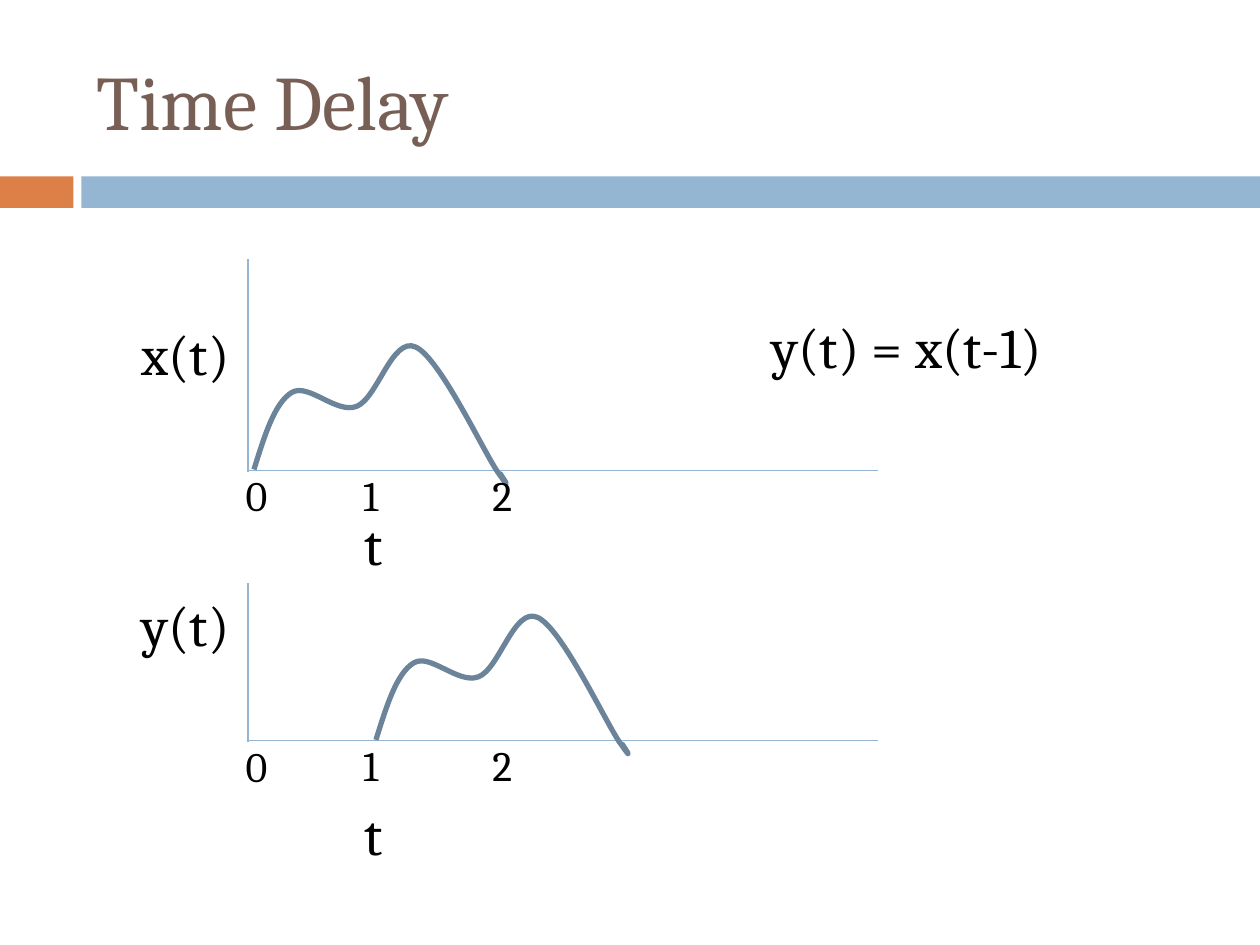
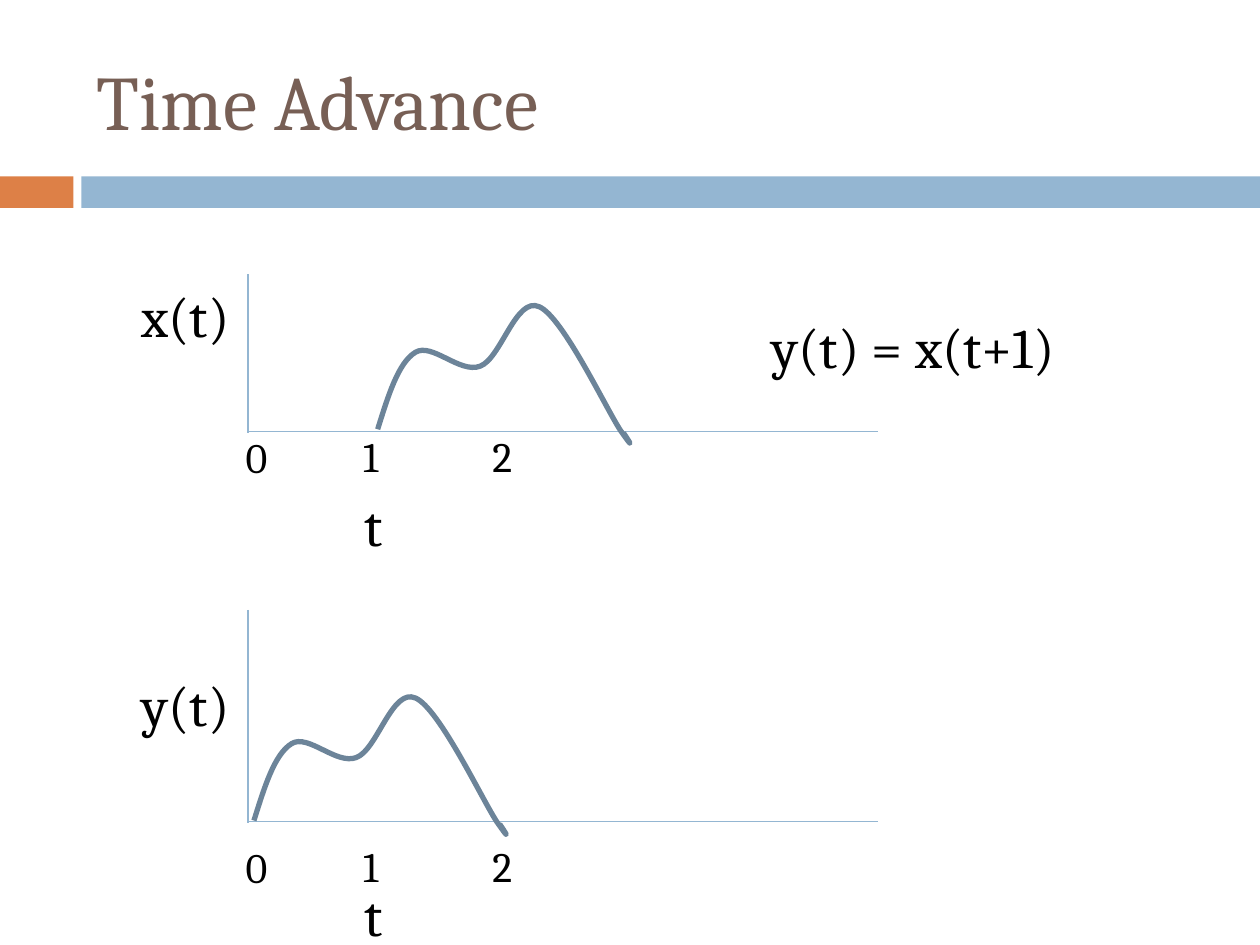
import pptx
import pptx.util
import pptx.dml.color
import pptx.enum.shapes
import pptx.enum.text
import pptx.oxml.ns
import lxml.etree

Pt = pptx.util.Pt
qn = pptx.oxml.ns.qn
FONT = "Cambria"
COLORS = {
    "title": "775F55",
    "accent": "DD8047",
    "band": "94B6D2",
    "axis": "94B6D2",
    "signal": "6C8499",
    "text": "000000",
}
GRAPH_LEFT, GRAPH_WIDTH = 141.8, 360
NO_DELAY, UNIT_DELAY = 3.3, 73
TICK_LEFTS = {"0": -8.5, "1": 58.7, "2": 132.5}
SIGNAL_RISE, SIGNAL_DIP, SIGNAL_WIDTH = 70.6, 7.9, 144.7
SIGNAL_SEGMENTS = [
    [(6, -19), (11.7, -38), (21.6, -44)],
    [(31, -49.7), (47, -31.7), (58.5, -36)],
    [(70.5, -40.3), (79, -76.3), (92.4, -70)],
    [(106, -64), (131, -10.8), (139, 1)],
    [(147.3, 12.8), (144, 7.3), (140.4, 2)],
]

SLIDES = [
    {
        "title": "Time Delay",
        "formula": "y(t) = x(t-1)",
        "formula_width": 172.8,
        "graphs": [
            dict(name="x(t)", top=148.2, height=120.5, delay=NO_DELAY, time_drop=18.7),
            dict(name="y(t)", top=333.2, height=90, delay=UNIT_DELAY),
        ],
    },
    {
        "title": "Time Advance",
        "formula": "y(t) = x(t+1)",
        "formula_width": 215.3,
        "graphs": [
            dict(name="x(t)", top=156.7, height=90, delay=UNIT_DELAY + 1, lift=1.4),
            dict(name="y(t)", top=348.5, height=120.8, delay=NO_DELAY, tick_drop=7.5),
        ],
    },
]


def color(name):
    """Return the named colour of the palette."""
    return pptx.dml.color.RGBColor.from_string(COLORS[name])


def add_text(page, text, box, size=32, tint="text", anchor="TOP", grow=True):
    """Write one line of text in a box of left, top, width and height."""
    frame = page.shapes.add_textbox(*map(Pt, box)).text_frame
    frame.word_wrap = True
    frame.vertical_anchor = pptx.enum.text.MSO_ANCHOR[anchor]
    if grow:
        frame.auto_size = pptx.enum.text.MSO_AUTO_SIZE.SHAPE_TO_FIT_TEXT
    span = frame.paragraphs[0].add_run()
    span.text = text
    span.font.name = FONT
    span.font.size = Pt(size)
    span.font.color.rgb = color(tint)


def add_bar(page, box, tint):
    """Draw a plain filled rectangle."""
    bar = page.shapes.add_shape(
        pptx.enum.shapes.MSO_SHAPE.RECTANGLE, *map(Pt, box))
    bar.shadow.inherit = False
    bar.fill.solid()
    bar.fill.fore_color.rgb = color(tint)
    bar.line.fill.background()


def add_axis(page, start, end):
    """Draw one thin axis line."""
    axis = page.shapes.add_connector(
        pptx.enum.shapes.MSO_CONNECTOR.STRAIGHT, *map(Pt, start + end))
    axis.line.color.rgb = color("axis")
    axis.line.width = Pt(0.79)
    lxml.etree.SubElement(axis._element.spPr, qn("a:effectLst"))


def add_signal(page, left, base):
    """Draw the signal as Bezier segments starting at the given point."""
    top = base - SIGNAL_RISE
    builder = page.shapes.build_freeform(Pt(left), Pt(top))
    corner = (Pt(left + SIGNAL_WIDTH), Pt(base + SIGNAL_DIP))
    builder.add_line_segments([corner], close=False)
    curve = builder.convert_to_shape()
    outline = curve._element.find(".//" + qn("a:path"))
    for child in list(outline):
        outline.remove(child)
    commands = [("a:moveTo", [(0, 0)])]
    commands += [("a:cubicBezTo", segment) for segment in SIGNAL_SEGMENTS]
    for command, points in commands:
        element = lxml.etree.SubElement(outline, qn(command))
        for x, y in points:
            lxml.etree.SubElement(
                element, qn("a:pt"), x=str(Pt(x)), y=str(Pt(y + SIGNAL_RISE)))
    curve.shadow.inherit = False
    curve.fill.background()
    curve.line.color.rgb = color("signal")
    curve.line.width = Pt(3)


def add_graph(page, box, name, delay, lift=0.4, tick_drop=-4.2, time_drop=30.3):
    """Draw axes, signal and labels of one graph in its box."""
    left, top, width, height = box
    base = top + height
    add_axis(page, (left, top), (left, base + 1))
    add_axis(page, (left, base), (left + width, base))
    add_signal(page, left + delay, base - lift)
    add_text(page, name, (left - 68, base - 89.5, 76.3, 46))
    for tick, offset in TICK_LEFTS.items():
        drop = tick_drop + (0.4 if tick == "0" else 0)
        add_text(page, tick, (left + offset, base + drop, 54.7, 36), size=24)
    add_text(page, "t", (left + 59.4, base + time_drop, 54.7, 46))


def add_header(page, title, box):
    """Draw the title and the two-colour band below it."""
    left, top, width, height = box
    add_text(page, title, (left + 48, top + 18, 642.2, 77.8),
             size=44, tint="title", anchor="MIDDLE", grow=False)
    band_height, gap_left, gap_right = 18, 42, 46.5
    band_top = top + height - band_height
    add_bar(page, (left, band_top, gap_left, band_height), "accent")
    add_bar(page, (left + gap_right, band_top, width - gap_right, band_height), "band")


def add_shift_page(deck, content):
    """Build one slide that compares a signal with its shifted form."""
    page = deck.slides.add_slide(deck.slide_layouts[6])
    add_header(page, content["title"], (0, 0, 720, 118.8))
    for graph in content["graphs"]:
        options = dict(graph)
        box = (GRAPH_LEFT, options.pop("top"), GRAPH_WIDTH, options.pop("height"))
        add_graph(page, box, **options)
    add_text(page, content["formula"], (433.8, 175, content["formula_width"], 46))


def main():
    """Build the deck and save it."""
    deck = pptx.Presentation()
    deck.slide_width, deck.slide_height = Pt(720), Pt(540)
    for content in SLIDES:
        add_shift_page(deck, content)
    deck.save("out.pptx")


if __name__ == "__main__":
    main()
